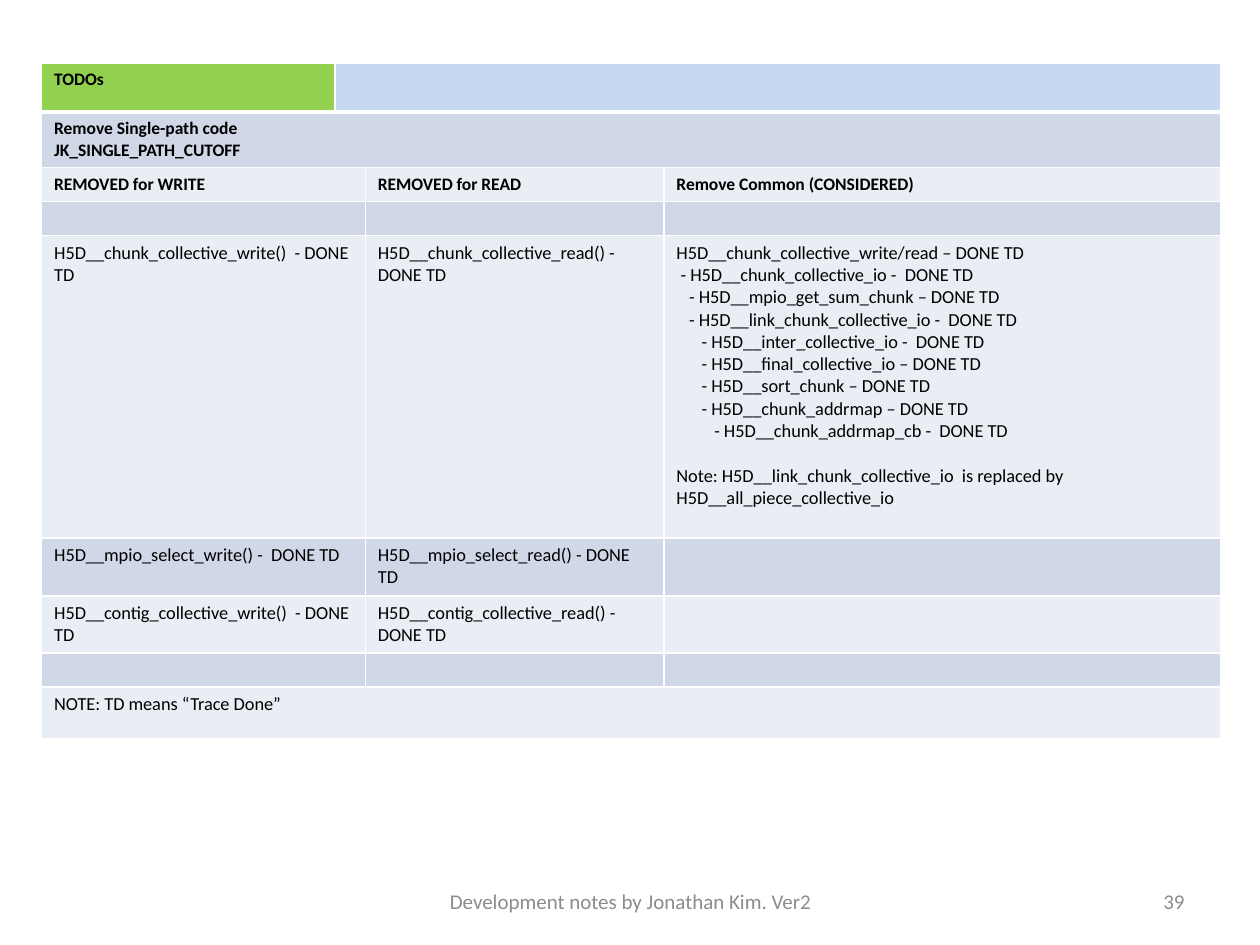
from dataclasses import dataclass

from lxml import etree
from pptx import Presentation
from pptx.dml.color import RGBColor
from pptx.enum import text as t
from pptx.oxml import ns
from pptx.util import Inches, Pt


@dataclass(frozen=True)
class Theme:
    font: str = "Calibri"
    ink: str = "000000"
    muted: str = "8C8C8C"
    rule: str = "FFFFFF"
    green: str = "92D050"
    blue: str = "C6D9F1"
    bands: tuple[str, str] = ("E9EDF4", "D0D8E8")
    heading_size: float = 10
    body_size: float = 10.5
    footer_size: float = 12


@dataclass(frozen=True)
class Line:
    text: str
    indent: int = 0  # in thirtieths of an inch
    before: float = 0


@dataclass(frozen=True)
class Entry:
    lines: tuple[Line, ...] = ()
    span: int = 1


@dataclass(frozen=True)
class Row:
    height: float
    entries: tuple[Entry, ...]
    bold: bool = False


@dataclass(frozen=True)
class Footer:
    text: str
    left: float
    width: float
    align: t.PP_ALIGN


THEME = Theme()


def entry(*texts: str, span: int = 1) -> Entry:
    return Entry(tuple(Line(text) for text in texts), span)


def three(height: float, write: Entry, read: Entry, common: Entry, bold: bool = False) -> Row:
    """A row whose first entry covers the two leftmost columns."""
    return Row(height, (Entry(write.lines, 2), read, common), bold)


COMMON_CALLS = Entry((
    Line("H5D__chunk_collective_write/read – DONE TD"),
    Line("- H5D__chunk_collective_io -  DONE TD", 1),
    Line("- H5D__mpio_get_sum_chunk – DONE TD", 3),
    Line("- H5D__link_chunk_collective_io -  DONE TD", 3),
    Line("- H5D__inter_collective_io -  DONE TD", 6),
    Line("- H5D__final_collective_io – DONE TD", 6),
    Line("- H5D__sort_chunk – DONE TD", 6),
    Line("- H5D__chunk_addrmap – DONE TD", 6),
    Line("- H5D__chunk_addrmap_cb -  DONE TD", 9),
    Line("Note: H5D__link_chunk_collective_io  is replaced by "
         "H5D__all_piece_collective_io", before=12.8),
))

COLUMNS = (2.33, 0.13, 2.37, 4.42)
ROWS = (
    Row(0.39, (entry("TODOs"), entry(span=3)), bold=True),
    Row(0.44, (entry("Remove Single-path code", "JK_SINGLE_PATH_CUTOFF", span=4),), bold=True),
    three(0.27, entry("REMOVED for WRITE"), entry("REMOVED for READ"),
          entry("Remove Common (CONSIDERED)"), bold=True),
    three(0.27, entry(), entry(), entry()),
    three(2.4, entry("H5D__chunk_collective_write()  - DONE TD"),
          entry("H5D__chunk_collective_read() - DONE TD"), COMMON_CALLS),
    three(0.46, entry("H5D__mpio_select_write() -  DONE TD"),
          entry("H5D__mpio_select_read() - DONE TD"), entry()),
    three(0.45, entry("H5D__contig_collective_write()  - DONE TD"),
          entry("H5D__contig_collective_read() - DONE TD"), entry()),
    three(0.27, entry(), entry(), entry()),
    Row(0.41, (entry("NOTE: TD means “Trace Done”", span=4),)),
)
FOOTERS = (
    Footer("Development notes by Jonathan Kim. Ver2", 3.42, 3.17, t.PP_ALIGN.CENTER),
    Footer("39", 7.17, 2.33, t.PP_ALIGN.RIGHT),
)


def style(paragraph, size: float, color: str, bold: bool = False) -> None:
    font = paragraph.font
    font.name, font.size, font.bold = THEME.font, Pt(size), bold
    font.color.rgb = RGBColor.from_string(color)


def set_borders(cell, top: float, bottom: float) -> None:
    properties = cell._tc.get_or_add_tcPr()
    for side, width in (("L", 1), ("R", 1), ("T", top), ("B", bottom)):
        line = etree.SubElement(properties, ns.qn(f"a:ln{side}"), w=str(Pt(width)))
        fill = etree.SubElement(line, ns.qn("a:solidFill"))
        etree.SubElement(fill, ns.qn("a:srgbClr"), val=THEME.rule)


def write_cell(cell, content: Entry, bold: bool) -> None:
    size = THEME.heading_size if bold or not content.lines else THEME.body_size
    frame = cell.text_frame
    frame.word_wrap = True
    for number, line in enumerate(content.lines):
        paragraph = frame.add_paragraph() if number else frame.paragraphs[0]
        paragraph.add_run().text = line.text
        if line.indent:
            paragraph._p.get_or_add_pPr().set("marL", str(Inches(line.indent / 30)))
        if line.before:
            paragraph.space_before = Pt(line.before)
        style(paragraph, size, THEME.ink, bold)
    if not content.lines:
        # An empty cell takes its line height from the end mark
        etree.SubElement(frame.paragraphs[0]._p, ns.qn("a:endParaRPr"), sz=str(int(size * 100)))


def draw_todos(slide) -> None:
    table = slide.shapes.add_table(
        len(ROWS), len(COLUMNS), Inches(0.33), Inches(0.5),
        Inches(sum(COLUMNS)), Inches(sum(row.height for row in ROWS))).table
    for column, width in zip(table.columns, COLUMNS):
        column.width = Inches(width)
    for index, row in enumerate(ROWS):
        table.rows[index].height = Inches(row.height)
        start = 0
        for content in row.entries:
            end = start + content.span - 1
            if content.span > 1:
                table.cell(index, start).merge(table.cell(index, end))
            fill = THEME.bands[index % 2]
            if index == 0:
                fill = THEME.blue if start else THEME.green
            for column in range(start, end + 1):
                cell = table.cell(index, column)
                set_borders(cell, 3 if index == 1 else 1, 3 if index == 0 else 1)
                cell.fill.solid()
                cell.fill.fore_color.rgb = RGBColor.from_string(fill)
                write_cell(cell, content if column == start else Entry(), row.bold)
            start = end + 1


def draw_footer(slide, footer: Footer) -> None:
    frame = slide.shapes.add_textbox(
        Inches(footer.left), Inches(6.95), Inches(footer.width), Inches(0.4)).text_frame
    frame.word_wrap = True
    frame.vertical_anchor = t.MSO_ANCHOR.MIDDLE
    paragraph = frame.paragraphs[0]
    paragraph.add_run().text = footer.text
    paragraph.alignment = footer.align
    style(paragraph, THEME.footer_size, THEME.muted)


def main() -> None:
    deck = Presentation()
    deck.slide_width, deck.slide_height = Inches(10), Inches(7.5)
    slide = deck.slides.add_slide(deck.slide_layouts[6])
    draw_todos(slide)
    for footer in FOOTERS:
        draw_footer(slide, footer)
    deck.save("out.pptx")


if __name__ == "__main__":
    main()
